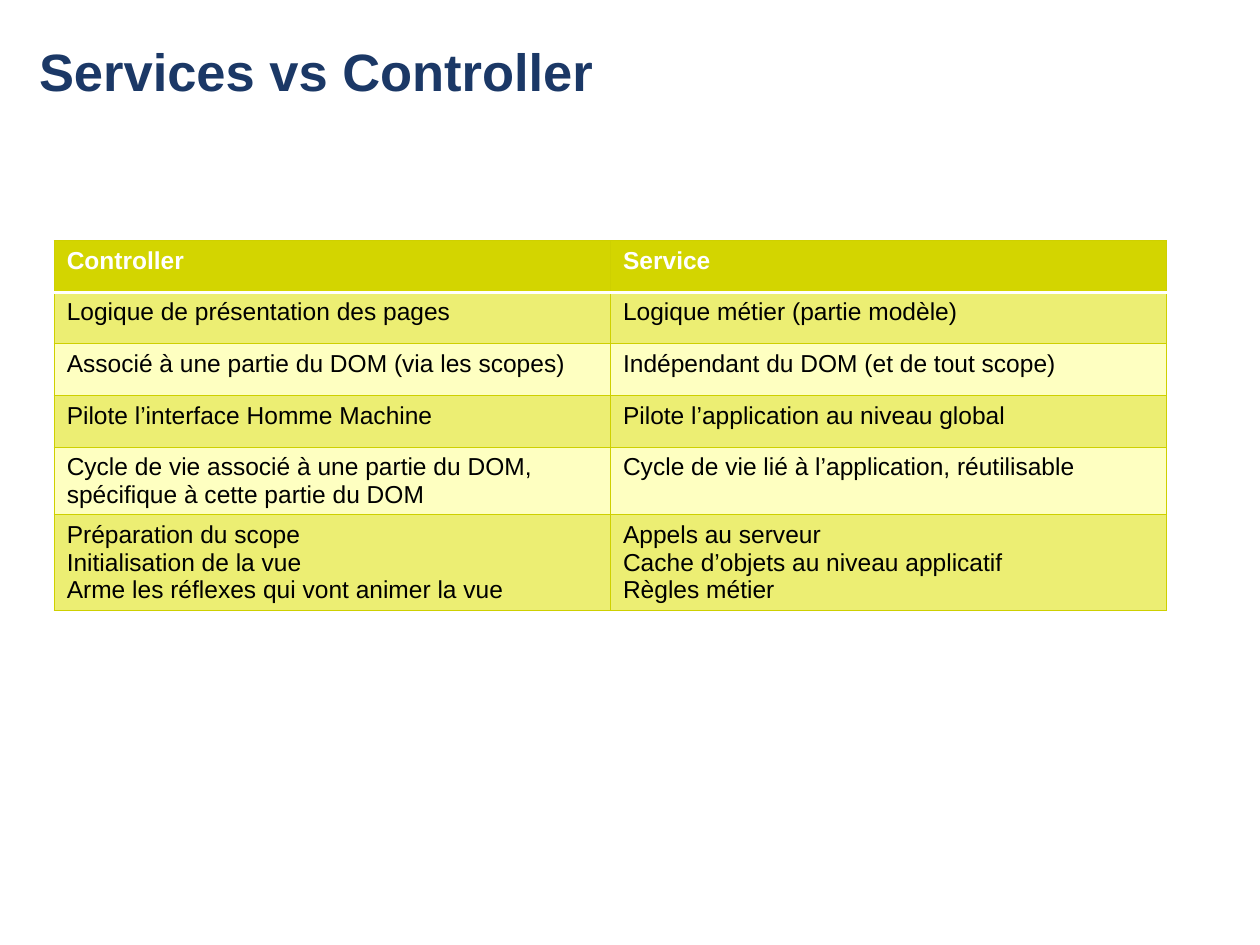
from lxml.etree import SubElement
from pptx import Presentation
from pptx.dml.color import RGBColor
from pptx.enum.text import MSO_ANCHOR, PP_ALIGN
from pptx.oxml.ns import qn
from pptx.util import Inches, Pt

NAVY = RGBColor(0x1B, 0x38, 0x66)
WHITE = RGBColor(0xFF, 0xFF, 0xFF)
BLACK = RGBColor(0x00, 0x00, 0x00)
LIME = RGBColor(0xD3, 0xD5, 0x00)
BAND = RGBColor(0xEC, 0xEE, 0x73)
PALE = RGBColor(0xFE, 0xFF, 0xC1)
RULE = RGBColor(0xCE, 0xD0, 0x00)
FONT = "Arial"

COMPARISON = [
    ("Controller", "Service"),
    ("Logique de présentation des pages", "Logique métier (partie modèle)"),
    ("Associé à une partie du DOM (via les scopes)", "Indépendant du DOM (et de tout scope)"),
    ("Pilote l’interface Homme Machine", "Pilote l’application au niveau global"),
    ("Cycle de vie associé à une partie du DOM, spécifique à cette partie du DOM",
     "Cycle de vie lié à l’application, réutilisable"),
    ("Préparation du scope\nInitialisation de la vue\nArme les réflexes qui vont animer la vue",
     "Appels au serveur\nCache d’objets au niveau applicatif\nRègles métier"),
]


def add_run(paragraph, text, size, color, bold):
    run = paragraph.add_run()
    run.text = text
    run.font.name = FONT
    run.font.size = Pt(size)
    run.font.bold = bold
    run.font.color.rgb = color


def place_title(slide, left, top, width, height):
    title = slide.shapes.title
    title.left, title.top, title.width, title.height = left, top, width, height
    frame = title.text_frame
    frame.margin_left = frame.margin_right = frame.margin_top = frame.margin_bottom = 0
    frame.vertical_anchor = MSO_ANCHOR.TOP
    heading = frame.paragraphs[0]
    heading.alignment = PP_ALIGN.LEFT
    add_run(heading, "Services vs Controller", 30, NAVY, True)


def set_border(cell, side, color, width):
    """Draw one side of a cell; call in the order L, R, T, B, before the fill."""
    line = SubElement(cell._tc.get_or_add_tcPr(), qn(f"a:ln{side}"), w=str(Pt(width)))
    SubElement(SubElement(line, qn("a:solidFill")), qn("a:srgbClr"), val=str(color))


def format_cell(cell, row_index):
    header = row_index == 0
    for side in "LRTB":
        under_header = (row_index, side) in ((0, "B"), (1, "T"))
        set_border(cell, side, *((WHITE, 2) if under_header else (RULE, 0.75)))
    cell.fill.solid()
    cell.fill.fore_color.rgb = LIME if header else BAND if row_index % 2 else PALE


def place_comparison(slide, left, top, width, row_height):
    row_count, column_count = len(COMPARISON), len(COMPARISON[0])
    table = slide.shapes.add_table(
        row_count, column_count, left, top, width, row_height * row_count).table
    for row_index, entries in enumerate(COMPARISON):
        header = row_index == 0
        for column_index, entry in enumerate(entries):
            cell = table.cell(row_index, column_index)
            format_cell(cell, row_index)
            frame = cell.text_frame
            for line_index, line in enumerate(entry.split("\n")):
                paragraph = frame.add_paragraph() if line_index else frame.paragraphs[0]
                add_run(paragraph, line, 14, WHITE if header else BLACK, header)


def main():
    presentation = Presentation()
    presentation.slide_width, presentation.slide_height = Inches(10), Inches(7.5)
    slide = presentation.slides.add_slide(presentation.slide_layouts.get_by_name("Title Only"))
    place_title(slide, Inches(0.31), Inches(0.31), Inches(9.69), Inches(0.94))
    place_comparison(slide, Inches(0.43), Inches(1.91), Inches(8.83), Inches(0.41))
    presentation.save("out.pptx")


if __name__ == "__main__":
    main()
